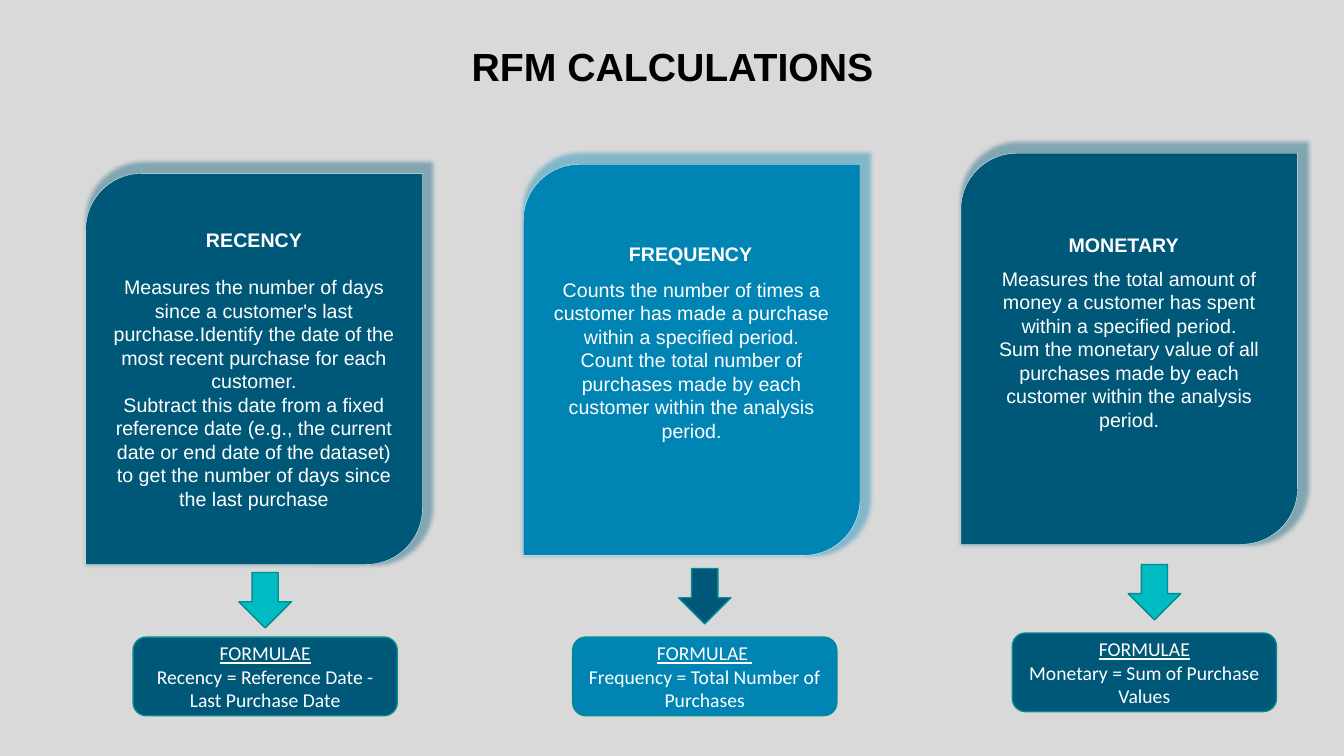
from lxml.etree import SubElement
from pptx import Presentation
from pptx.dml.color import RGBColor
from pptx.enum.shapes import MSO_SHAPE as Preset
from pptx.enum.text import MSO_ANCHOR as Anchor, PP_ALIGN as Align
from pptx.oxml.ns import qn
from pptx.util import Inches, Pt

COLORS = {
    "background": "D9D9D9", "navy": "005878", "blue": "0084B4", "teal": "01BBC2",
    "teal_line": "018C92", "card_line": "F2F2F2", "white": "FFFFFF", "black": "000000",
}


def rgb(name):
    return RGBColor.from_string(COLORS[name])


class SlideBuilder:
    BODY = {"name": "Arial", "size": Pt(14), "bold": False}
    HEADING = BODY | {"bold": True}
    TITLE = HEADING | {"size": Pt(28)}
    FORMULA = BODY | {"name": "Calibri"}
    FORMULA_LABEL = FORMULA | {"underline": True}

    def __init__(self, presentation):
        self.slide = presentation.slides.add_slide(presentation.slide_layouts[6])
        fill = self.slide.background.fill
        fill.solid()
        fill.fore_color.rgb = rgb("background")

    def add_text(self, shape, paragraphs, color="white", align=Align.CENTER):
        """Each paragraph is (text, font format) or (text, font format, points before)."""
        frame = shape.text_frame
        frame.word_wrap = True
        for index, (text, font_format, *before) in enumerate(paragraphs):
            paragraph = frame.paragraphs[0] if index == 0 else frame.add_paragraph()
            paragraph.alignment = align
            if before:
                paragraph.space_before = Pt(before[0])
            run = paragraph.add_run()
            run.text = text
            for attribute, value in font_format.items():
                setattr(run.font, attribute, value)
            run.font.color.rgb = rgb(color)

    def label(self, box, text, font_format, color="white"):
        shape = self.slide.shapes.add_textbox(*map(Inches, box))
        self.add_text(shape, [(text, font_format)], color, Align.LEFT)

    def block(self, preset, box, fill, line="teal_line", line_width=1):
        shape = self.slide.shapes.add_shape(preset, *map(Inches, box))
        shape.shadow.inherit = False
        shape.fill.solid()
        shape.fill.fore_color.rgb = rgb(fill)
        shape.line.color.rgb = rgb(line)
        shape.line.width = Pt(line_width)
        shape.text_frame.vertical_anchor = Anchor.MIDDLE
        return shape

    def card(self, left, top, fill, paragraphs):
        shape = self.block(Preset.ROUND_2_DIAG_RECTANGLE, (left, top, 3.34, 3.88),
                           fill, "card_line", 0.25)
        # Enlarged shadow growing from the bottom left corner
        effects = shape._element.spPr.find(qn("a:effectLst"))
        shadow = SubElement(effects, qn("a:outerShdw"), blurRad=str(Pt(3)), dist="0",
                            dir="18900000", sx="103000", sy="103000", algn="bl",
                            rotWithShape="0")
        color = SubElement(shadow, qn("a:srgbClr"), val=COLORS[fill])
        SubElement(color, qn("a:alpha"), val="40000")
        self.add_text(shape, paragraphs)

    def arrow(self, left, top, fill):
        self.block(Preset.DOWN_ARROW, (left, top, 0.52, 0.55), fill)

    def formula(self, left, top, fill, label, text):
        shape = self.block(Preset.ROUNDED_RECTANGLE, (left, top, 2.62, 0.78), fill)
        self.add_text(shape, [(label, self.FORMULA_LABEL), (text, self.FORMULA)])


def main():
    presentation = Presentation()
    presentation.slide_width = Inches(13.33)
    presentation.slide_height = Inches(7.5)
    builder = SlideBuilder(presentation)
    heading, body = builder.HEADING, builder.BODY

    # Title
    builder.label((4.58, 0.37, 6.05, 0.57), "RFM CALCULATIONS", builder.TITLE, "black")

    # Columns: card, arrow and formula, each with its place
    columns = [
        ("navy", (0.85, 1.72), [
            ("RECENCY", heading),
            ("Measures the number of days since a customer's last purchase.Identify "
             "the date of the most recent purchase for each customer.", body, 17),
            ("Subtract this date from a fixed reference date (e.g., the current date or "
             "end date of the dataset) to get the number of days since the last purchase",
             body)],
         "teal", (2.37, 5.68), (1.32, 6.32),
         "FORMULAE", "Recency = Reference Date - Last Purchase Date"),
        ("blue", (5.19, 1.63), [
            ("Counts the number of times a customer has made a purchase within a "
             "specified period.", body),
            ("Count the total number of purchases made by each customer within the "
             "analysis period.", body)],
         "navy", (6.73, 5.64), (5.68, 6.32),
         "FORMULAE ", "Frequency = Total Number of Purchases"),
        ("navy", (9.53, 1.52), [
            ("Measures the total amount of money a customer has spent within a "
             "specified period.", body),
            ("Sum the monetary value of all purchases made by each customer within "
             "the analysis period.", body)],
         "teal", (11.19, 5.6), (10.04, 6.28),
         "FORMULAE", "Monetary = Sum of Purchase Values"),
    ]
    for fill, card_at, texts, arrow_fill, arrow_at, formula_at, label, formula in columns:
        builder.card(*card_at, fill, texts)
        builder.arrow(*arrow_at, arrow_fill)
        builder.formula(*formula_at, fill, label, formula)

    # Headings laid over the second and third cards
    builder.label((6.14, 2.35, 1.9, 0.34), "FREQUENCY", heading)
    builder.label((10.5, 2.26, 1.68, 0.34), "MONETARY", heading)

    presentation.save("out.pptx")


if __name__ == "__main__":
    main()
